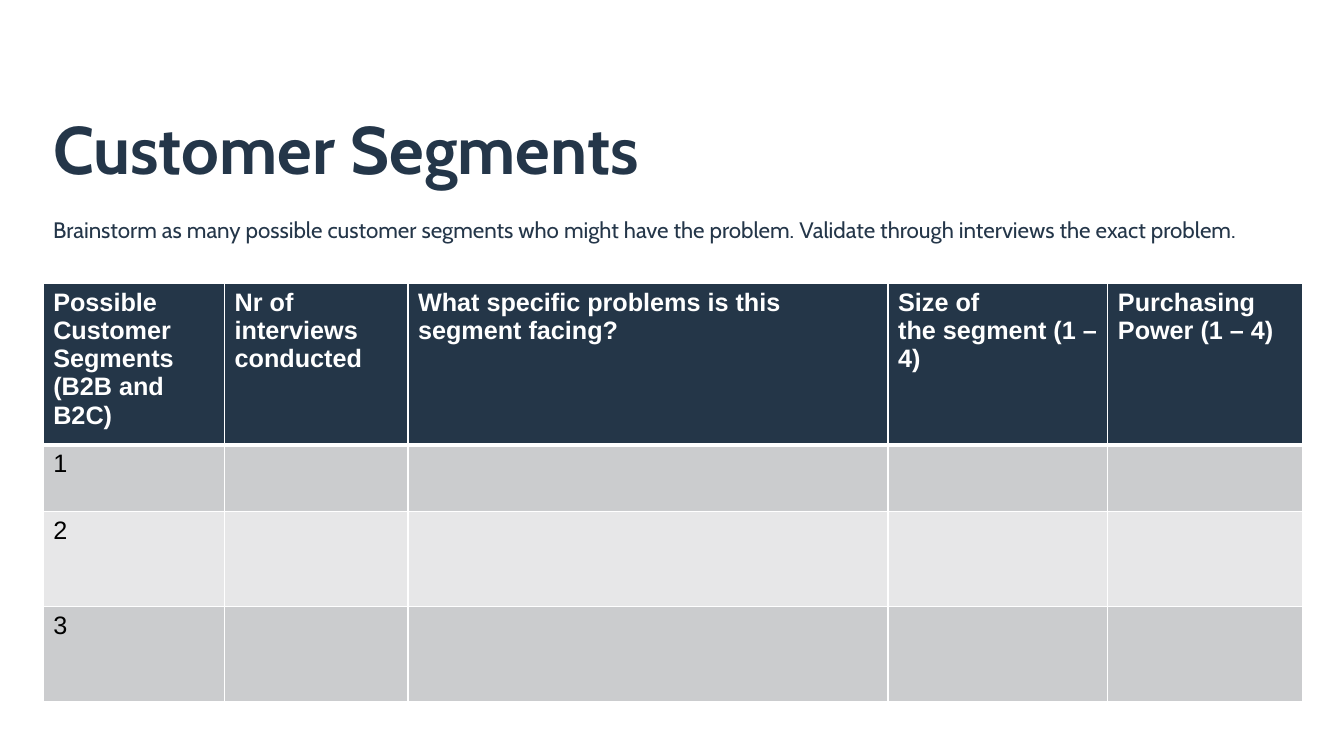
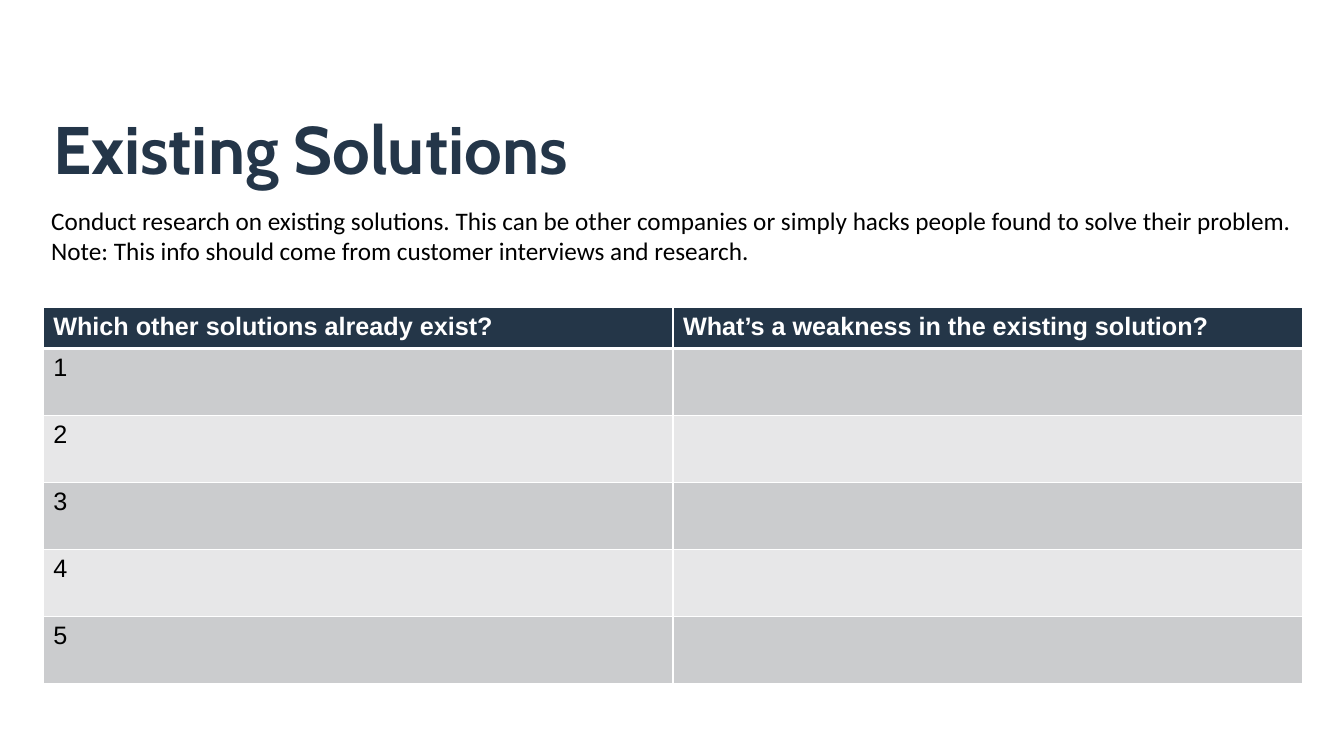
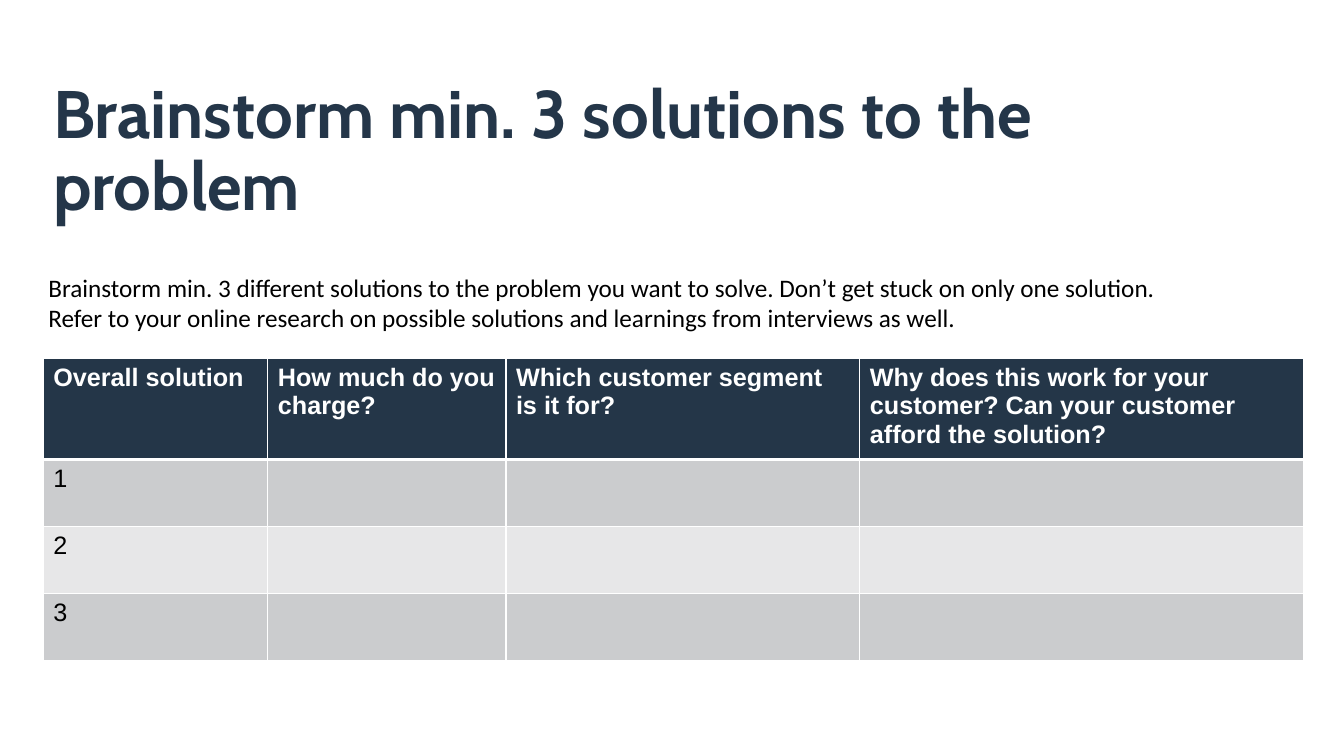
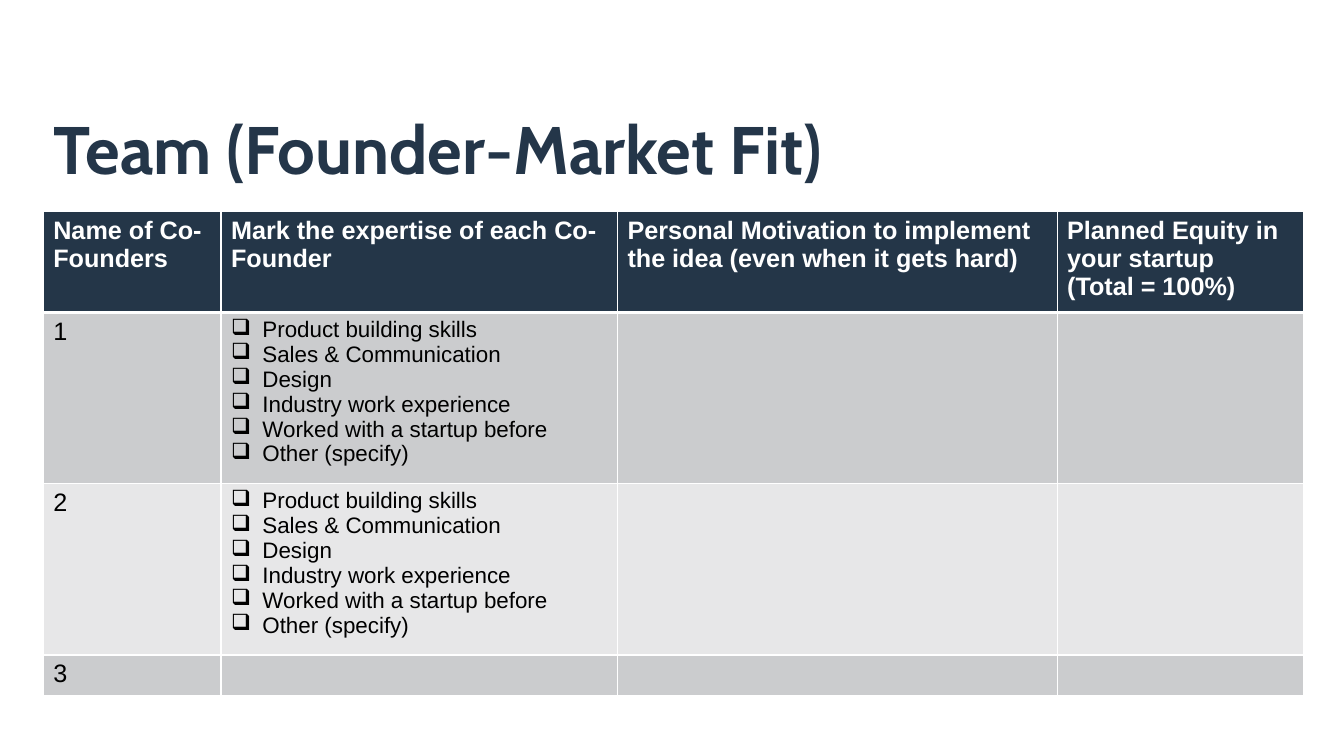
from pptx import Presentation
from pptx.dml.color import RGBColor
from pptx.enum.text import MSO_ANCHOR as Anchor
from pptx.oxml.ns import qn
from pptx.util import Cm, Pt
from lxml.etree import SubElement

COLORS = {
    "title": "243649",
    "header": "243648",
    "odd": "CBCCCE",
    "even": "E7E7E8",
    "white": "FFFFFF",
    "black": "000000",
}

# Shared geometry, in centimetres
SLIDE_W, SLIDE_H = 33.87, 19.05
LEFT, WIDTH = 1.09, 31.75
TITLE_TOP, TITLE_H = 2.95, 1.8
BULLET_INDENT = 0.79

# Text styles
TITLE = dict(font="Cabin", size=48, color="title", bold=True, spacing=0.9)
LEAD = dict(font="Cabin", size=16, color="title")
NOTE = dict(font="Calibri", size=18)
HEADER = dict(size=18, color="white", bold=True)
BODY = dict(size=18)
CHECKLIST = dict(size=16, bullet="❑")

# Content: each body row is its number, with any further cells in "extra"
SKILLS = [
    "Product building skills",
    "Sales & Communication",
    "Design",
    "Industry work experience",
    "Worked with a startup before",
    "Other (specify)",
]

SLIDES = [
    dict(
        title="Customer Segments",
        intro=["Brainstorm as many possible customer segments who might have "
               "the problem. Validate through interviews the exact problem."],
        intro_box=(1.09, 5.33, 31.75, 1.0),
        intro_style=LEAD,
        top=7.14,
        cols=[4.57, 4.62, 12.1, 5.54, 4.9],
        rows=[3.8, 1.69, 2.39, 2.39],
        header=[
            ["Possible Customer Segments (B2B and B2C)"],
            ["Nr of interviews conducted"],
            ["What specific problems is this segment facing?"],
            ["Size of", "the segment (1 – 4)"],
            ["Purchasing", "Power (1 – 4)"],
        ],
    ),
    dict(
        title="Existing Solutions",
        intro=["Conduct research on existing solutions. This can be other "
               "companies or simply hacks people found to solve their problem.",
               "Note: This info should come from customer interviews and research."],
        intro_box=(1.04, 5.05, 32.44, 1.8),
        intro_style=NOTE,
        top=7.75,
        cols=[15.87, 15.87],
        rows=[1.03] + [1.69] * 5,
        header=[
            ["Which other solutions already exist?"],
            ["What’s a weakness in the existing solution?"],
        ],
    ),
    dict(
        title="Brainstorm min. 3 solutions to the problem",
        intro=["Brainstorm min. 3 different solutions to the problem you want "
               "to solve. Don’t get stuck on only one solution.",
               "Refer to your online research on possible solutions and "
               "learnings from interviews as well."],
        intro_box=(0.97, 6.73, 32.44, 1.8),
        intro_style=NOTE,
        top=9.04,
        cols=[5.66, 6.0, 8.92, 11.17],
        rows=[2.37] + [1.69] * 3,
        header=[
            ["Overall solution"],
            ["How much do you charge?"],
            ["Which customer segment is it for?"],
            ["Why does this work for your customer? "
             "Can your customer afford the solution?"],
        ],
    ),
    dict(
        title="Team (Founder-Market Fit)",
        top=5.33,
        cols=[4.48, 9.99, 11.08, 6.2],
        rows=[2.37, 4.02, 4.02, 1.03],
        header=[
            ["Name of Co-Founders"],
            ["Mark the expertise of each Co-Founder"],
            ["Personal Motivation to implement the idea (even when it gets hard)"],
            ["Planned Equity in your startup", "(Total = 100%)"],
        ],
        extra={(1, 1): SKILLS, (2, 1): SKILLS},
    ),
]


def rgb(name):
    return RGBColor.from_string(COLORS[name])


def write(tf, lines, font="Arial", size=18, color="black", bold=False,
          spacing=None, bullet=None):
    """Fill a text frame with one paragraph for each line."""
    for i, line in enumerate(lines):
        p = tf.add_paragraph() if i else tf.paragraphs[0]
        if spacing:
            p.line_spacing = spacing
        if bullet:
            pPr = p._p.get_or_add_pPr()
            pPr.set("marL", str(Cm(BULLET_INDENT)))
            pPr.set("indent", str(-Cm(BULLET_INDENT)))
            SubElement(pPr, qn("a:buChar"), char=bullet)
        r = p.add_run()
        r.text = line
        r.font.name, r.font.size, r.font.bold = font, Pt(size), bold
        r.font.color.rgb = rgb(color)


def add_text(s, lines, box, anchor=Anchor.TOP, **style):
    tf = s.shapes.add_textbox(*map(Cm, box)).text_frame
    tf.word_wrap = True
    tf.vertical_anchor = anchor
    write(tf, lines, **style)


def paint_cell(cell, row):
    """Give a cell its white borders, then the fill of its row."""
    tcPr = cell._tc.get_or_add_tcPr()
    widths = dict(L=1, R=1, T=3 if row == 1 else 1, B=3 if row == 0 else 1)
    for side, width in widths.items():
        ln = SubElement(tcPr, qn(f"a:ln{side}"), w=str(Pt(width)))
        fill = SubElement(ln, qn("a:solidFill"))
        SubElement(fill, qn("a:srgbClr"), val=COLORS["white"])
    cell.fill.solid()
    band = "odd" if row % 2 else "even"
    cell.fill.fore_color.rgb = rgb(band if row else "header")


def add_grid(s, top, cols, rows, header, extra):
    frame = s.shapes.add_table(len(rows), len(cols), Cm(LEFT), Cm(top),
                               Cm(sum(cols)), Cm(sum(rows)))
    table = frame.table
    for col, width in zip(table.columns, cols):
        col.width = Cm(width)
    for row, height in zip(table.rows, rows):
        row.height = Cm(height)
    for i in range(len(rows)):
        for j in range(len(cols)):
            cell = table.cell(i, j)
            paint_cell(cell, i)
            if i == 0:
                write(cell.text_frame, header[j], **HEADER)
            elif j == 0:
                write(cell.text_frame, [str(i)], **BODY)
            elif (i, j) in extra:
                write(cell.text_frame, extra[i, j], **CHECKLIST)


def main():
    prs = Presentation()
    prs.slide_width, prs.slide_height = Cm(SLIDE_W), Cm(SLIDE_H)
    for d in SLIDES:
        s = prs.slides.add_slide(prs.slide_layouts[6])
        add_text(s, [d["title"]], (LEFT, TITLE_TOP, WIDTH, TITLE_H),
                 anchor=Anchor.MIDDLE, **TITLE)
        add_grid(s, d["top"], d["cols"], d["rows"], d["header"],
                 d.get("extra", {}))
        if "intro" in d:
            add_text(s, d["intro"], d["intro_box"], **d["intro_style"])
    prs.save("out.pptx")


if __name__ == "__main__":
    main()
